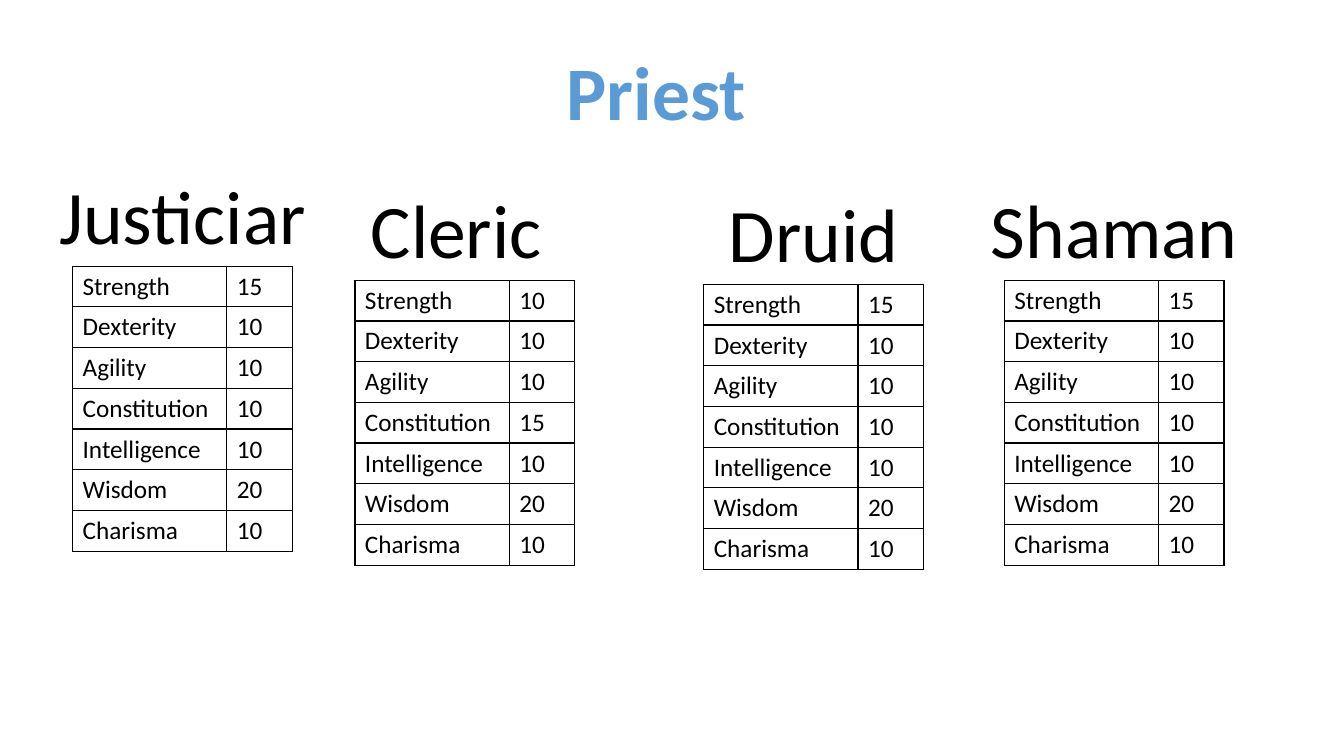
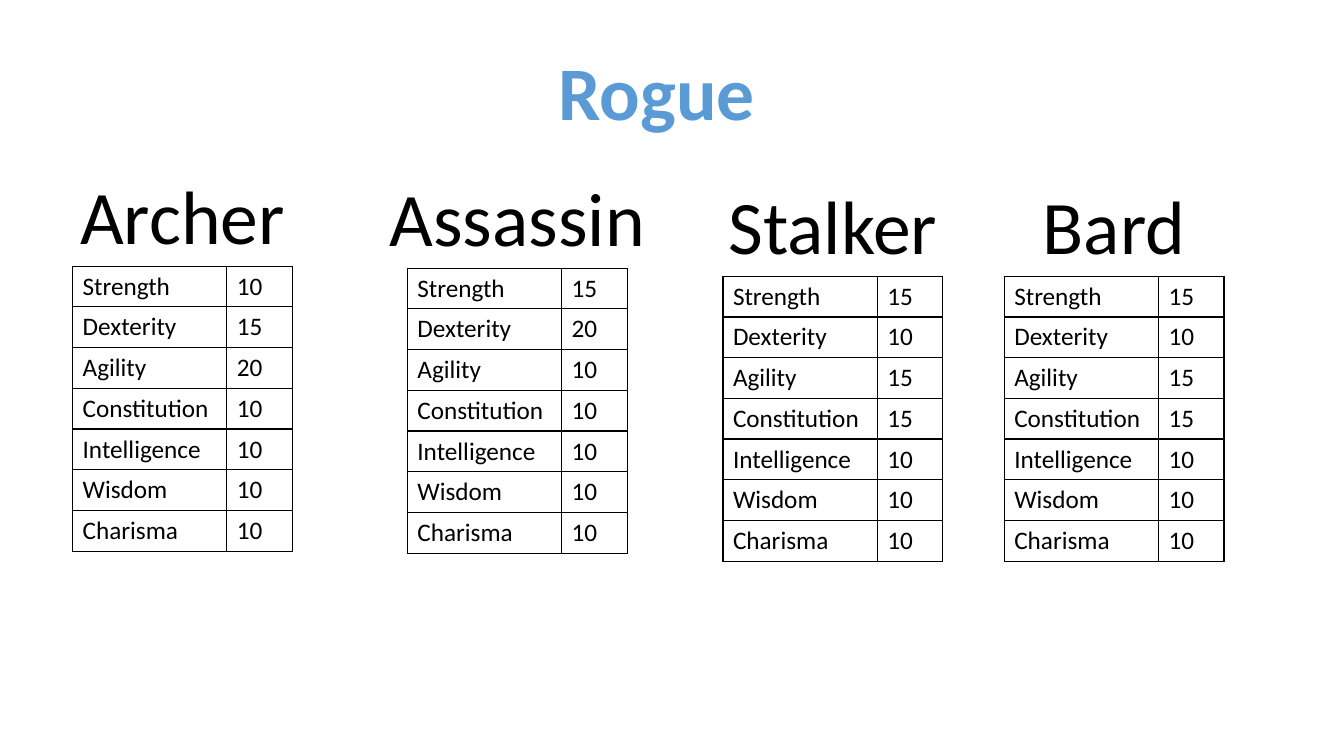
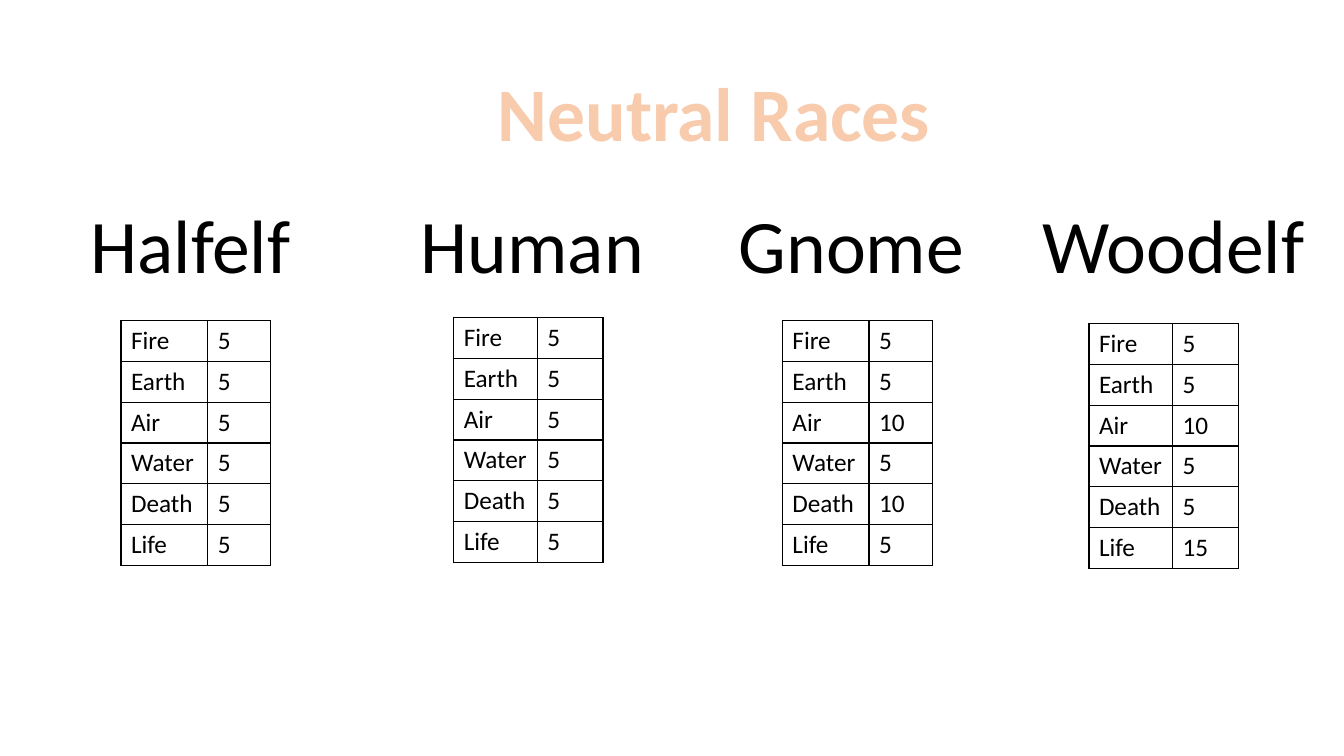
from lxml.etree import SubElement
from pptx import Presentation
from pptx.dml.color import RGBColor
from pptx.enum.text import MSO_AUTO_SIZE, PP_ALIGN
from pptx.oxml.ns import qn
from pptx.util import Emu, Pt

PX = 9144  # EMU per px, 100 px to the inch
COLORS = {
    "ink": "000000",
    "class": "5B9BD5",
    "race": "F8CBAD",
    "race_edge": "ED7D31",
}
FONT = "Calibri"
HEADING_HEIGHT = 101
TABLE_HEIGHT = {6: 243, 7: 283}

ABILITIES = ["Strength", "Dexterity", "Agility", "Constitution",
             "Intelligence", "Wisdom", "Charisma"]
ELEMENTS = ["Fire", "Earth", "Air", "Water", "Death", "Life"]
ABILITY_COLUMNS = (153, 65)

# Title: text, left, top, width. Each group: name, name width, left, top, scores.
CLASSES = [
    (("Priest", 551, 40, 200), [
        ("Justiciar", 268, 72, 163, [15, 10, 10, 10, 10, 20, 10]),
        ("Cleric ", 209, 352, 177, [10, 10, 10, 15, 10, 20, 10]),
        ("Druid", 190, 698, 181, [15, 10, 10, 10, 10, 20, 10]),
        ("Shaman", 268, 996, 177, [15, 10, 10, 10, 10, 20, 10]),
    ]),
    (("Rogue", 543, 40, 217), [
        ("Archer", 225, 72, 163, [10, 15, 20, 10, 10, 10, 10]),
        ("Assassin", 276, 404, 165, [15, 20, 10, 10, 10, 10, 10]),
        ("Stalker", 229, 717, 173, [15, 10, 15, 15, 10, 10, 10]),
        ("Bard", 163, 996, 173, [15, 10, 15, 15, 10, 10, 10]),
    ]),
]
RACES_TITLE = ("Neutral Races", 482, 60, 453)
RACES_TOP = 191
# Name, name width, name shift, left, gap below name, columns, scores
RACES = [
    ("Halfelf", 220, -5, 120, 26, (86, 62), [5, 5, 5, 5, 5, 5]),
    ("Human", 244, 4, 450, 23, (83, 65), [5, 5, 5, 5, 5, 5]),
    ("Gnome", 246, -6, 776, 26, (86, 63), [5, 5, 10, 5, 10, 5]),
    ("Woodelf", 282, 10, 1080, 29, (83, 65), [5, 5, 10, 5, 5, 15]),
]


def px(length):
    return Emu(round(length * PX))


def add_line(parent, tag, color, points):
    line = SubElement(parent, qn(tag), w=str(Pt(points)))
    fill = SubElement(line, qn("a:solidFill"))
    SubElement(fill, qn("a:srgbClr"), val=COLORS[color])
    return line


def write(frame, text, size=18, color="ink", bold=False, align=None, edge=None):
    paragraph = frame.paragraphs[0]
    paragraph.alignment = align
    run = paragraph.add_run()
    run.text = text
    font = run.font
    font.name, font.size, font.bold = FONT, Pt(size), bold
    font.color.rgb = RGBColor.from_string(COLORS[color])
    if edge:
        properties = run._r.get_or_add_rPr()
        properties.insert(0, add_line(properties, "a:ln", edge, 1.75))


def add_heading(slide, text, left, top, width, **style):
    heading = slide.shapes.add_textbox(px(left), px(top), px(width), px(HEADING_HEIGHT))
    frame = heading.text_frame
    frame.word_wrap = False
    frame.auto_size = MSO_AUTO_SIZE.SHAPE_TO_FIT_TEXT
    write(frame, text, size=54, align=PP_ALIGN.CENTER, **style)


def add_scores(slide, labels, scores, left, top, columns):
    table = slide.shapes.add_table(len(labels), 2, px(left), px(top), px(sum(columns)),
                                   px(TABLE_HEIGHT[len(labels)])).table
    table.first_row = table.horz_banding = False
    for column, width in zip(table.columns, columns):
        column.width = px(width)
    for row, entries in enumerate(zip(labels, scores)):
        for col, entry in enumerate(entries):
            cell = table.cell(row, col)
            write(cell.text_frame, str(entry))
            for side in "LRTB":
                add_line(cell._tc.get_or_add_tcPr(), f"a:ln{side}", "ink", 1)
            cell.fill.background()


def add_group(slide, name, name_width, left, top, labels, scores, columns, shift=0, gap=0):
    """Name centred over its table of scores, apart from the shift."""
    name_left = left + (sum(columns) - name_width) / 2 + shift
    add_heading(slide, name, name_left, top, name_width)
    add_scores(slide, labels, scores, left, top + HEADING_HEIGHT + gap, columns)


def add_titled_slide(deck, title, **style):
    slide = deck.slides.add_slide(deck.slide_layouts[6])
    add_heading(slide, *title, bold=True, **style)
    return slide


def main():
    deck = Presentation()
    deck.slide_width, deck.slide_height = px(1333), px(750)

    # Classes and their abilities
    for title, groups in CLASSES:
        slide = add_titled_slide(deck, title, color="class")
        for name, name_width, left, top, scores in groups:
            add_group(slide, name, name_width, left, top, ABILITIES, scores, ABILITY_COLUMNS)

    # Races and their elements
    slide = add_titled_slide(deck, RACES_TITLE, color="race", edge="race_edge")
    for name, name_width, shift, left, gap, columns, scores in RACES:
        add_group(slide, name, name_width, left, RACES_TOP, ELEMENTS, scores, columns,
                  shift=shift, gap=gap)

    deck.save("out.pptx")


if __name__ == "__main__":
    main()
